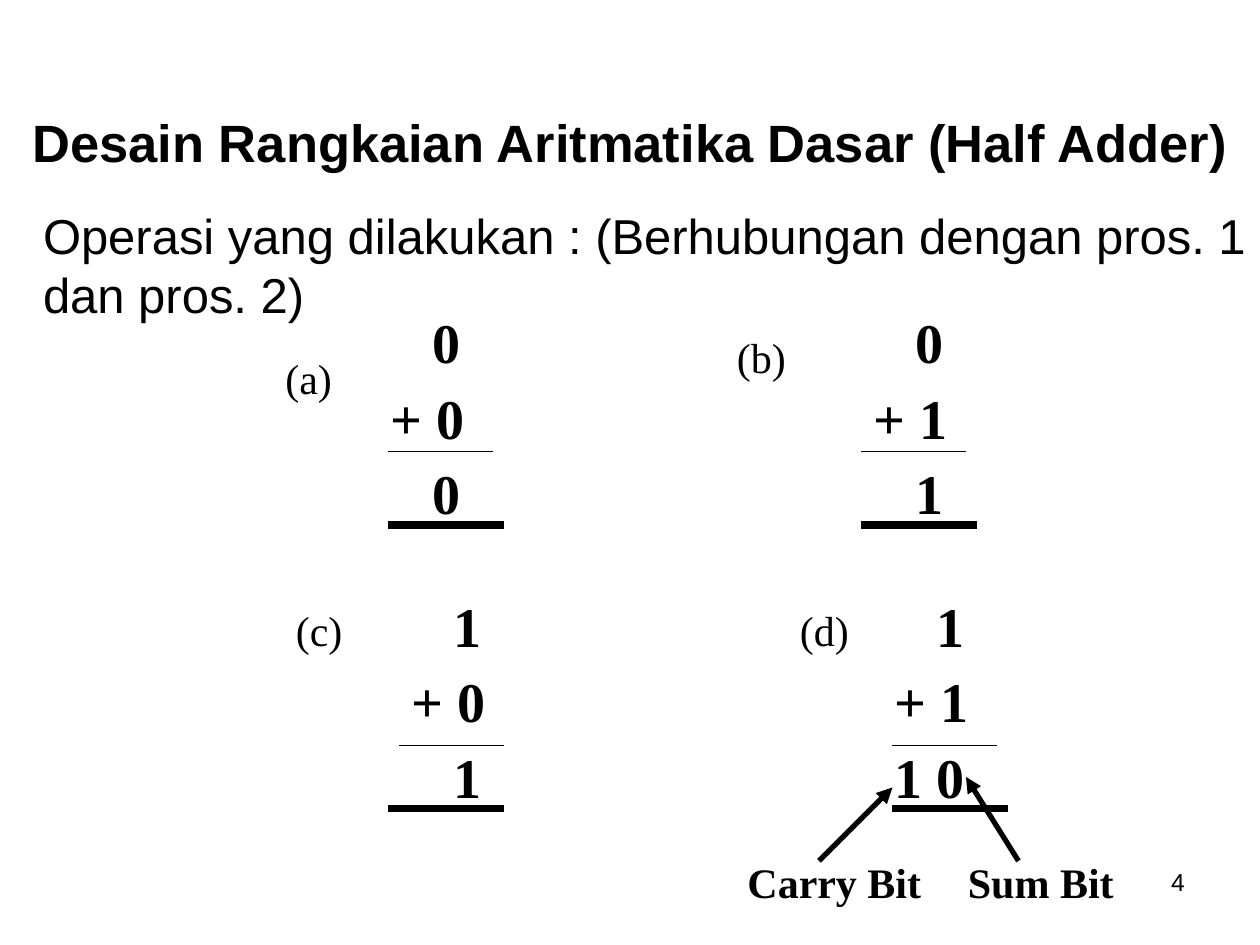
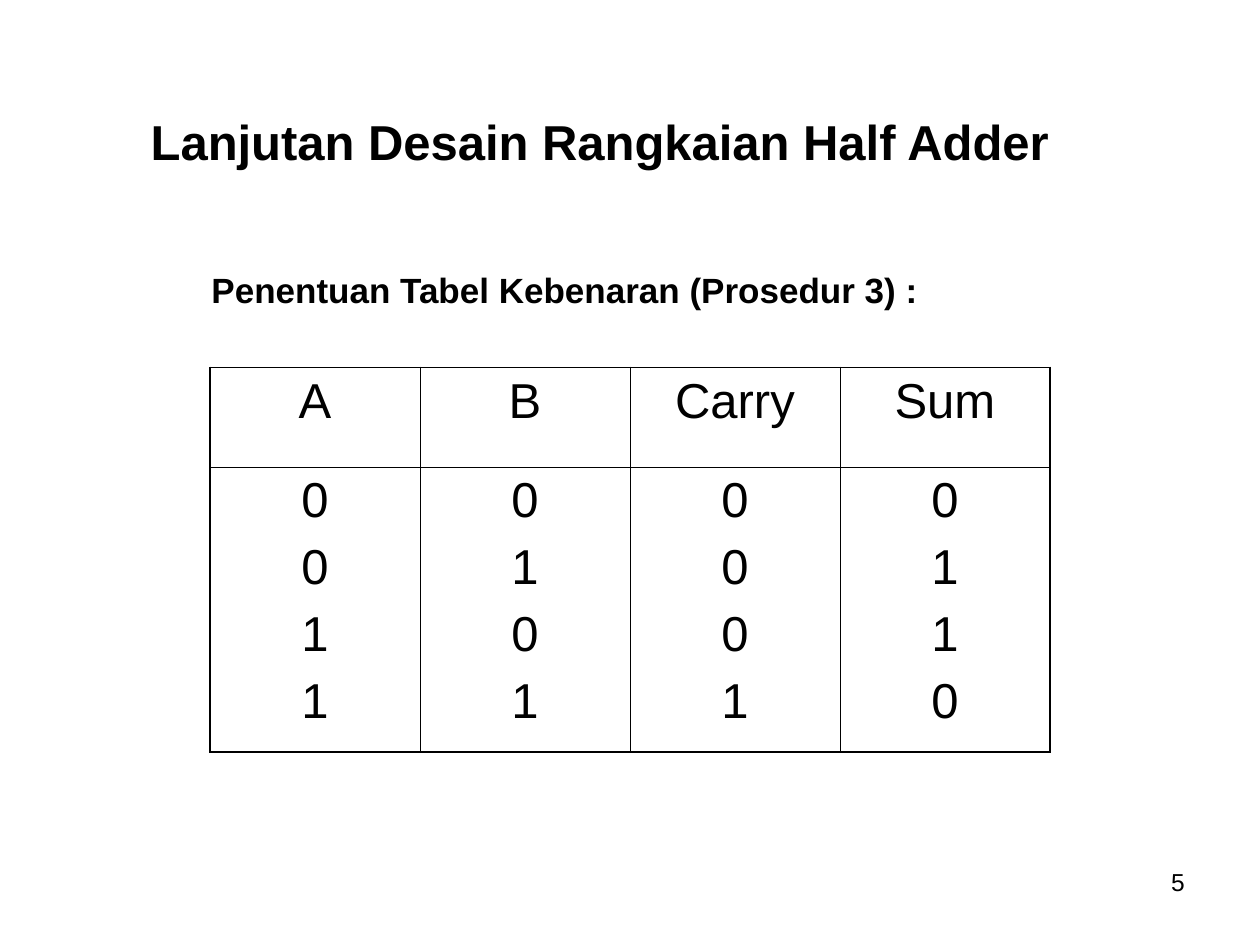
"""Build two slides on designing a half adder."""
from dataclasses import dataclass

from lxml import etree
from pptx import Presentation
from pptx.dml.color import RGBColor
from pptx.enum.shapes import MSO_CONNECTOR
from pptx.enum.text import MSO_ANCHOR, PP_ALIGN
from pptx.oxml.ns import qn
from pptx.util import Pt

STRAIGHT = MSO_CONNECTOR.STRAIGHT
LEFT, CENTER, RIGHT = PP_ALIGN.LEFT, PP_ALIGN.CENTER, PP_ALIGN.RIGHT
TOP, MIDDLE = MSO_ANCHOR.TOP, MSO_ANCHOR.MIDDLE


@dataclass(frozen=True)
class Theme:
    ink: RGBColor = RGBColor(0, 0, 0)
    sans: str = "Arial"
    serif: str = "Times New Roman"
    title: float = 30
    body: float = 28
    digits: float = 32
    label: float = 24
    subtitle: float = 20
    footer: float = 14
    rule: float = 0.75
    total_rule: float = 4.5
    arrow: float = 3
    outer_border: float = 1.08
    inner_border: float = 0.45


THEME = Theme()


@dataclass(frozen=True)
class Style:
    size: float
    font: str = THEME.sans
    bold: bool = False
    align: PP_ALIGN = LEFT
    line_spacing: float | None = None
    space_before: float = 0


TITLE = Style(THEME.title, bold=True, align=CENTER)
HEADING = Style(THEME.body, bold=True)
BODY = Style(THEME.body)
SUBTITLE = Style(THEME.subtitle, bold=True)
FOOTER = Style(THEME.footer, align=RIGHT)
CASE = Style(THEME.label, THEME.serif)
BIT_LABEL = Style(THEME.label, THEME.serif, bold=True)
DIGITS = Style(THEME.digits, THEME.serif, bold=True, line_spacing=0.6, space_before=20)
CELL = Style(THEME.body, align=CENTER, space_before=7)


@dataclass(frozen=True)
class Box:
    left: float
    top: float
    width: float
    height: float


@dataclass(frozen=True)
class Line:
    x1: float
    y1: float
    x2: float
    y2: float
    weight: float
    arrow: bool = False


@dataclass(frozen=True)
class Addition:
    case: str
    case_at: tuple[float, float]
    digits_at: tuple[float, float]
    rule_at: tuple[float, float]
    total_at: tuple[float, float]
    operands: tuple[int, int]
    result: str


ADDITIONS = (
    Addition("(a)", (156, 198), (216, 186), (222, 258), (222, 300), (0, 0), "0"),
    Addition("(b)", (414, 186), (492, 186), (492, 258), (492, 300), (0, 1), "1"),
    Addition("(c)", (162, 342), (228, 348), (228, 426), (222, 462), (1, 0), "1"),
    Addition("(d)", (450, 342), (504, 348), (510, 426), (510, 462), (1, 1), "1 0"),
)
RULE_LENGTH, TOTAL_LENGTH, DIGIT_INDENT = 60, 66, 24
BIT_ARROWS = (
    Line(468, 492, 510, 450, THEME.arrow, arrow=True),
    Line(582, 492, 552, 444, THEME.arrow, arrow=True),
)
TRUTH_COLUMNS = {"A": "0011", "B": "0101", "Carry": "0001", "Sum": "0110"}
TRUTH_ROW_HEIGHTS = (57, 162.5)


def write(frame, lines: list[str], style: Style) -> None:
    """Fill a text frame with one paragraph per line."""
    frame.text = "\n".join(lines)
    for index, paragraph in enumerate(frame.paragraphs):
        paragraph.alignment = style.align
        if style.line_spacing:
            paragraph.line_spacing = style.line_spacing
        if index and style.space_before:
            paragraph.space_before = Pt(style.space_before)
        for run in paragraph.runs:
            run.font.name = style.font
            run.font.size = Pt(style.size)
            run.font.bold = style.bold
            run.font.color.rgb = THEME.ink


def add_text(slide, box: Box, lines: list[str], style: Style,
             anchor: MSO_ANCHOR = TOP):
    """Add a text box and return its frame."""
    frame = slide.shapes.add_textbox(
        Pt(box.left), Pt(box.top), Pt(box.width), Pt(box.height)).text_frame
    frame.word_wrap = True
    frame.vertical_anchor = anchor
    if style.align == LEFT:
        frame.margin_right = 0
    write(frame, lines, style)
    return frame


def add_line(slide, line: Line) -> None:
    """Draw a straight line, with an arrowhead at its end if wanted."""
    connector = slide.shapes.add_connector(
        STRAIGHT, Pt(line.x1), Pt(line.y1), Pt(line.x2), Pt(line.y2))
    connector.line.color.rgb = THEME.ink
    connector.line.width = Pt(line.weight)
    properties = connector._element.spPr
    if line.arrow:
        etree.SubElement(properties.find(qn("a:ln")), qn("a:tailEnd"), type="triangle")
    etree.SubElement(properties, qn("a:effectLst"))


def add_addition(slide, addition: Addition) -> None:
    """Draw one binary addition with its case letter and rules."""
    add_text(slide, Box(*addition.case_at, 48, 36), [addition.case], CASE)
    first, second = addition.operands
    frame = add_text(slide, Box(*addition.digits_at, 72, 116.5),
                     [str(first), f"+ {second}", addition.result], DIGITS)
    for paragraph in frame.paragraphs:
        if len(paragraph.text) == 1:
            paragraph._p.get_or_add_pPr().set("marL", str(Pt(DIGIT_INDENT)))
    for (x, y), length, weight in (
        (addition.rule_at, RULE_LENGTH, THEME.rule),
        (addition.total_at, TOTAL_LENGTH, THEME.total_rule),
    ):
        add_line(slide, Line(x, y, x + length, y, weight))


def set_borders(cell, outer_sides: dict[str, bool]) -> None:
    """Border a cell, heavier on the sides that face outward."""
    properties = cell._tc.get_or_add_tcPr()
    for index, (side, outer) in enumerate(outer_sides.items()):
        weight = THEME.outer_border if outer else THEME.inner_border
        border = etree.Element(qn(f"a:ln{side}"), w=str(Pt(weight)))
        fill = etree.SubElement(border, qn("a:solidFill"))
        etree.SubElement(fill, qn("a:srgbClr"), val=str(THEME.ink))
        properties.insert(index, border)


def add_truth_table(slide, box: Box) -> None:
    """Add the half adder's truth table."""
    columns, rows = len(TRUTH_COLUMNS), len(TRUTH_ROW_HEIGHTS)
    table = slide.shapes.add_table(
        rows, columns, Pt(box.left), Pt(box.top), Pt(box.width), Pt(box.height)).table
    table.first_row = table.horz_banding = False
    for row, height in zip(table.rows, TRUTH_ROW_HEIGHTS):
        row.height = Pt(height)
    for c, (signal, values) in enumerate(TRUTH_COLUMNS.items()):
        table.columns[c].width = Pt(box.width / columns)
        for r, lines in enumerate(([signal], list(values))):
            cell = table.cell(r, c)
            cell.fill.background()
            write(cell.text_frame, lines, CELL)
            set_borders(cell, {"L": c == 0, "R": c == columns - 1,
                               "T": r == 0, "B": r == rows - 1})


def add_slide(deck, number: int):
    """Add a blank slide carrying its page number."""
    slide = deck.slides.add_slide(deck.slide_layouts[6])
    add_text(slide, Box(516, 492, 168, 37.5), [str(number)], FOOTER)
    return slide


def build_operations(deck) -> None:
    """Build the slide with the four binary additions."""
    slide = add_slide(deck, 4)
    add_text(slide, Box(6, 36, 708, 90),
             ["Desain Rangkaian Aritmatika Dasar (Half Adder)"], TITLE, anchor=MIDDLE)
    add_text(slide, Box(17.5, 114, 702, 75),
             ["Operasi yang dilakukan : (Berhubungan dengan pros. 1", "dan pros. 2)"], BODY)
    for addition in ADDITIONS:
        add_addition(slide, addition)
    for bit, left in (("Carry Bit", 420), ("Sum Bit", 546)):
        add_text(slide, Box(left, 486, 120, 36), [bit], BIT_LABEL)
    for arrow in BIT_ARROWS:
        add_line(slide, arrow)


def build_truth_table(deck) -> None:
    """Build the slide with the truth table."""
    slide = add_slide(deck, 5)
    add_text(slide, Box(79, 60, 536.5, 41),
             ["Lanjutan Desain Rangkaian Half Adder"], HEADING)
    add_text(slide, Box(113.75, 150, 420, 31.5),
             ["Penentuan Tabel Kebenaran (Prosedur 3) :"], SUBTITLE)
    add_truth_table(slide, Box(120, 210, 480, sum(TRUTH_ROW_HEIGHTS)))


def main() -> None:
    """Build and save the deck."""
    deck = Presentation()
    deck.slide_width, deck.slide_height = Pt(720), Pt(540)
    build_operations(deck)
    build_truth_table(deck)
    deck.save("out.pptx")


if __name__ == "__main__":
    main()
